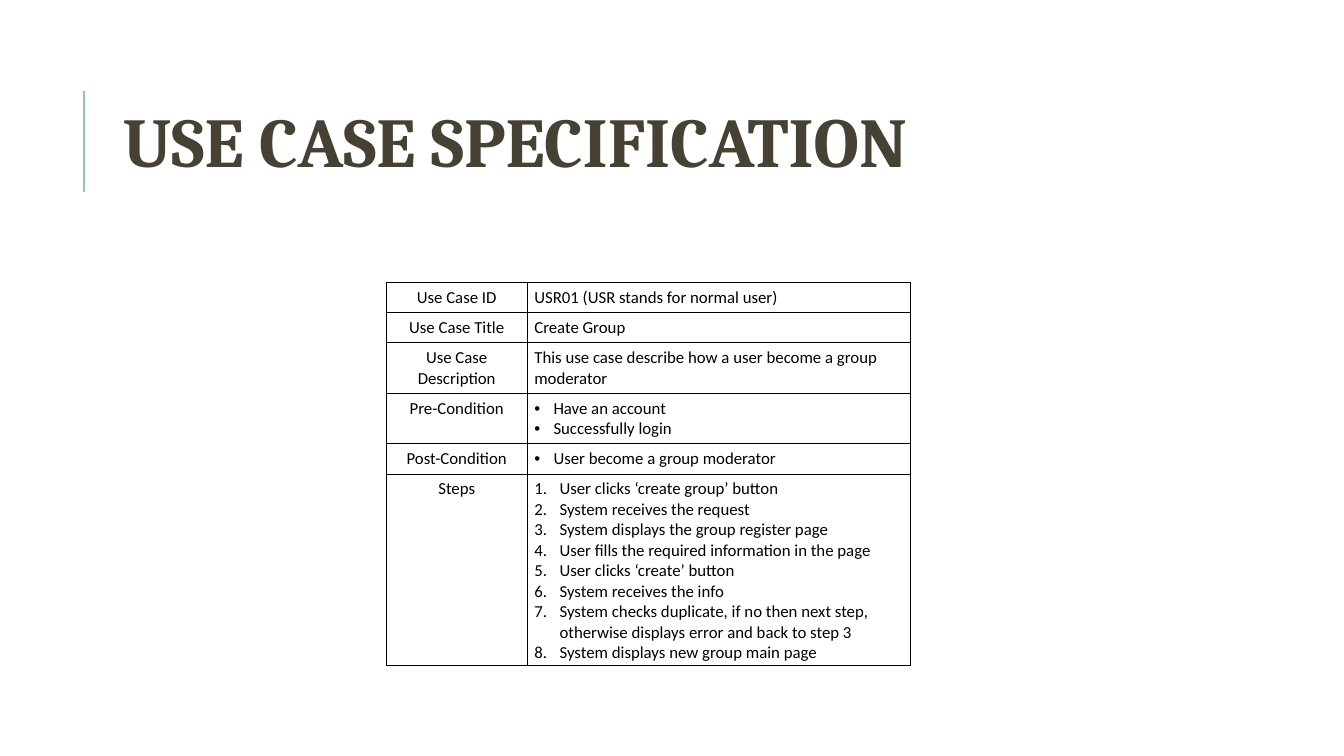
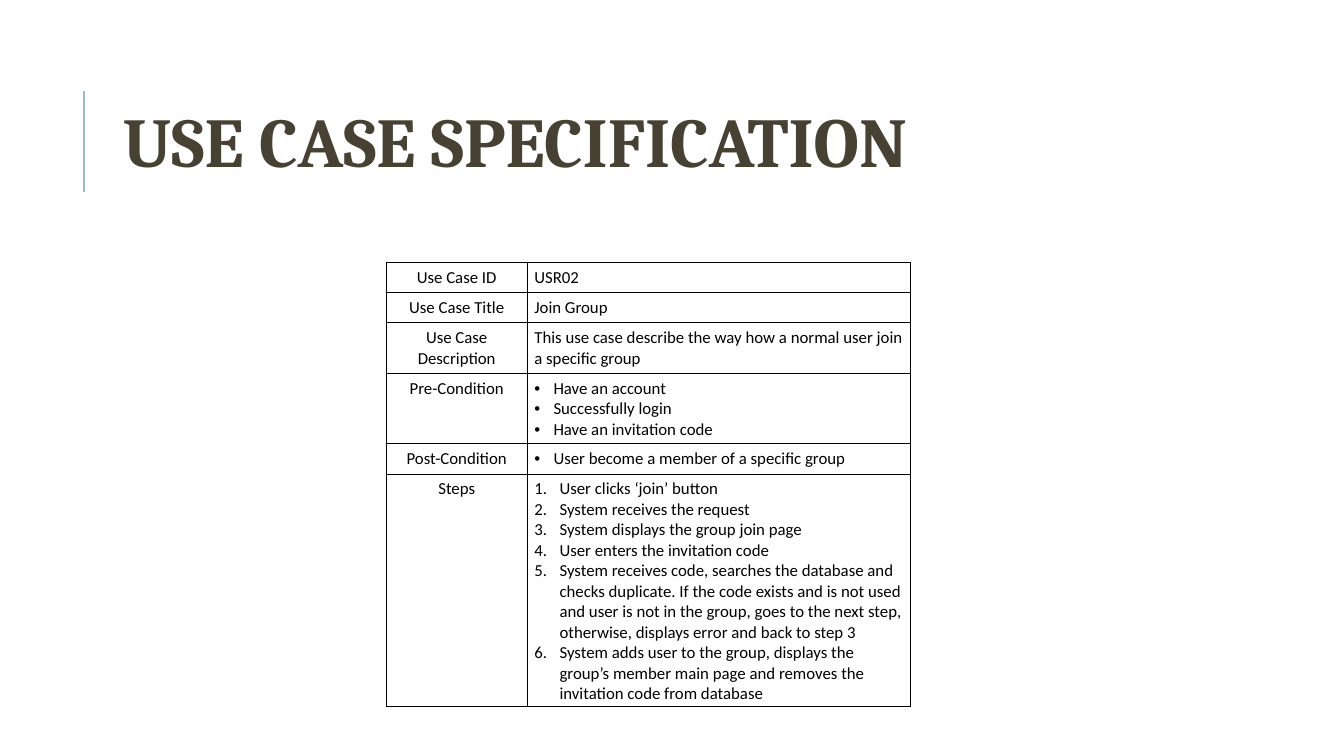
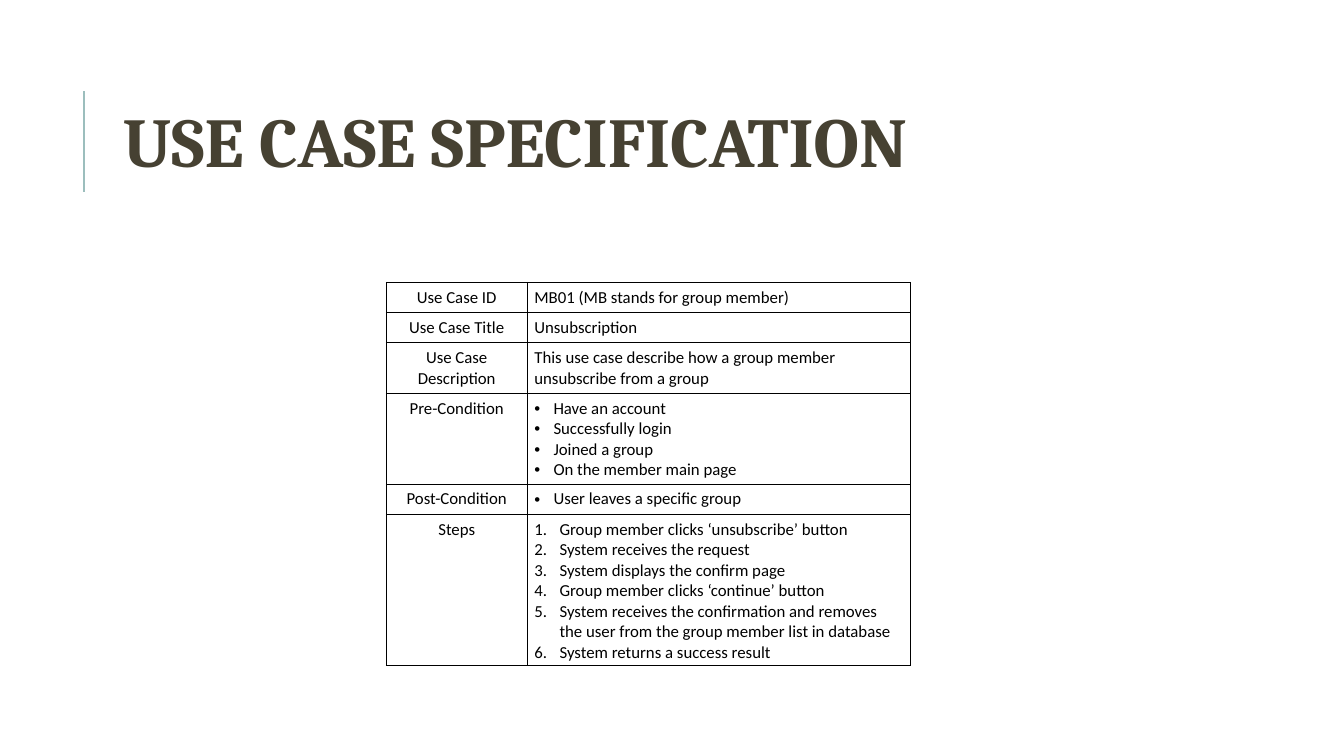
import dataclasses

import lxml.etree
import pptx
import pptx.dml.color
import pptx.enum.shapes
import pptx.enum.text
import pptx.oxml.ns
import pptx.util

Inches = pptx.util.Inches
Pt = pptx.util.Pt
RGBColor = pptx.dml.color.RGBColor
Align = pptx.enum.text.PP_ALIGN


@dataclasses.dataclass(frozen=True)
class Theme:
    title_font: str = "Cambria"
    title_size: int = 50
    title_color: str = "464132"
    body_font: str = "Calibri"
    body_size: int = 12
    body_color: str = "000000"
    rule_color: str = "9CBEBD"
    rule_width: float = 1.5
    border_width: float = 0.5


THEME = Theme()
TITLE = "USE CASE SPECIFICATION"
LABELS = ["Use Case ID", "Use Case Title", "Use Case Description",
          "Pre-Condition", "Post-Condition", "Steps"]
STYLES = ["plain", "plain", "plain", "bullet", "bullet", "number"]
INDENTS = {"bullet": 0.19, "number": 0.25}

USE_CASES = [
    {
        "top": 2.8,
        "details": [
            ["USR01 (USR stands for normal user)"],
            ["Create Group"],
            ["This use case describe how a user become a group moderator"],
            ["Have an account", "Successfully login"],
            ["User become a group moderator"],
            [
                "User clicks ‘create group’ button",
                "System receives the request",
                "System displays the group register page",
                "User fills the required information in the page",
                "User clicks ‘create’ button",
                "System receives the info",
                "System checks duplicate, if no then next step,\votherwise displays error and back to step 3",
                "System displays new group main page",
            ],
        ],
    },
    {
        "top": 2.6,
        "details": [
            ["USR02"],
            ["Join Group"],
            ["This use case describe the way how a normal user join a specific group"],
            ["Have an account", "Successfully login", "Have an invitation code"],
            ["User become a member of a specific group"],
            [
                "User clicks ‘join’ button",
                "System receives the request",
                "System displays the group join page",
                "User enters the invitation code",
                "System receives code, searches the database and checks duplicate. "
                "If the code exists and is not used and user is not in the group, "
                "goes to the next step, otherwise, displays error and back to step 3",
                "System adds user to the group, displays the group’s member main page "
                "and removes the invitation code from database",
            ],
        ],
    },
    {
        "top": 2.8,
        "details": [
            ["MB01 (MB stands for group member)"],
            ["Unsubscription"],
            ["This use case describe how a group member unsubscribe from a group"],
            ["Have an account", "Successfully login", "Joined a group", "On the member main page"],
            ["User leaves a specific group"],
            [
                "Group member clicks ‘unsubscribe’ button",
                "System receives the request",
                "System displays the confirm page",
                "Group member clicks ‘continue’ button",
                "System receives the confirmation and removes the user from the group member list in database",
                "System returns a success result",
            ],
        ],
    },
]

TABLE_LEFT = 3.83
COLUMN_WIDTHS = [1.4, 3.8]
CELL_PADDING = 0.1
LINE_HEIGHT = 0.2


def add_element(parent, tag, **attributes):
    return lxml.etree.SubElement(parent, pptx.oxml.ns.qn(tag), attributes)


def format_span(span, font, size, color, bold=False):
    span.font.name = font
    span.font.size = Pt(size)
    span.font.bold = bold
    span.font.color.rgb = RGBColor.from_string(color)


def add_title(page):
    rule = page.shapes.add_connector(
        pptx.enum.shapes.MSO_CONNECTOR.STRAIGHT,
        Inches(0.83), Inches(1.9), Inches(0.83), Inches(0.9))
    rule.line.color.rgb = RGBColor.from_string(THEME.rule_color)
    rule.line.width = Pt(THEME.rule_width)
    add_element(rule.element.spPr, "a:effectLst")

    box = page.shapes.add_textbox(Inches(1.12), Inches(0.64), Inches(10.63), Inches(1.64))
    frame = box.text_frame
    frame.word_wrap = True
    frame.vertical_anchor = pptx.enum.text.MSO_ANCHOR.MIDDLE
    frame.text = TITLE
    para = frame.paragraphs[0]
    para.line_spacing = 0.8
    format_span(para.runs[0], THEME.title_font, THEME.title_size, THEME.title_color, True)


def add_marker(para, style):
    indent = Inches(INDENTS[style])
    properties = para._p.get_or_add_pPr()
    properties.set("marL", str(indent))
    properties.set("indent", str(-indent))
    color = add_element(properties, "a:buClr")
    add_element(color, "a:srgbClr", val=THEME.body_color)
    if style == "bullet":
        add_element(properties, "a:buFont", typeface="Arial")
        add_element(properties, "a:buChar", char="•")
    else:
        add_element(properties, "a:buFont", typeface="+mj-lt")
        add_element(properties, "a:buAutoNum", type="arabicPeriod")


def add_borders(cell):
    properties = cell._tc.get_or_add_tcPr()
    for side in ("a:lnL", "a:lnR", "a:lnT", "a:lnB"):
        border = add_element(properties, side, w=str(Pt(THEME.border_width)))
        fill = add_element(border, "a:solidFill")
        add_element(fill, "a:srgbClr", val=THEME.body_color)


def fill_cell(cell, lines, style, align):
    cell.margin_left = cell.margin_right = Inches(0.07)
    cell.margin_top = cell.margin_bottom = Inches(0.05)
    add_borders(cell)
    cell.fill.background()
    cell.text_frame.text = "\n".join(lines)
    for para in cell.text_frame.paragraphs:
        para.alignment = align
        if style in INDENTS:
            add_marker(para, style)
        for span in para.runs:
            format_span(span, THEME.body_font, THEME.body_size, THEME.body_color)


def add_use_case(page, use_case):
    details = use_case["details"]
    heights = [CELL_PADDING + LINE_HEIGHT * len(lines) for lines in details]
    table = page.shapes.add_table(
        len(LABELS), len(COLUMN_WIDTHS), Inches(TABLE_LEFT), Inches(use_case["top"]),
        Inches(sum(COLUMN_WIDTHS)), Inches(sum(heights))).table
    table.first_row = False
    table.horz_banding = False
    for column, width in zip(table.columns, COLUMN_WIDTHS):
        column.width = Inches(width)
    for row, height, label, lines, style in zip(table.rows, heights, LABELS, details, STYLES):
        row.height = Inches(height)
        fill_cell(row.cells[0], [label], "plain", Align.CENTER)
        fill_cell(row.cells[1], lines, style, Align.LEFT)


def main():
    deck = pptx.Presentation()
    deck.slide_width = Inches(13.33)
    deck.slide_height = Inches(7.5)
    for use_case in USE_CASES:
        page = deck.slides.add_slide(deck.slide_layouts[6])
        add_title(page)
        add_use_case(page, use_case)
    deck.save("out.pptx")


if __name__ == "__main__":
    main()
